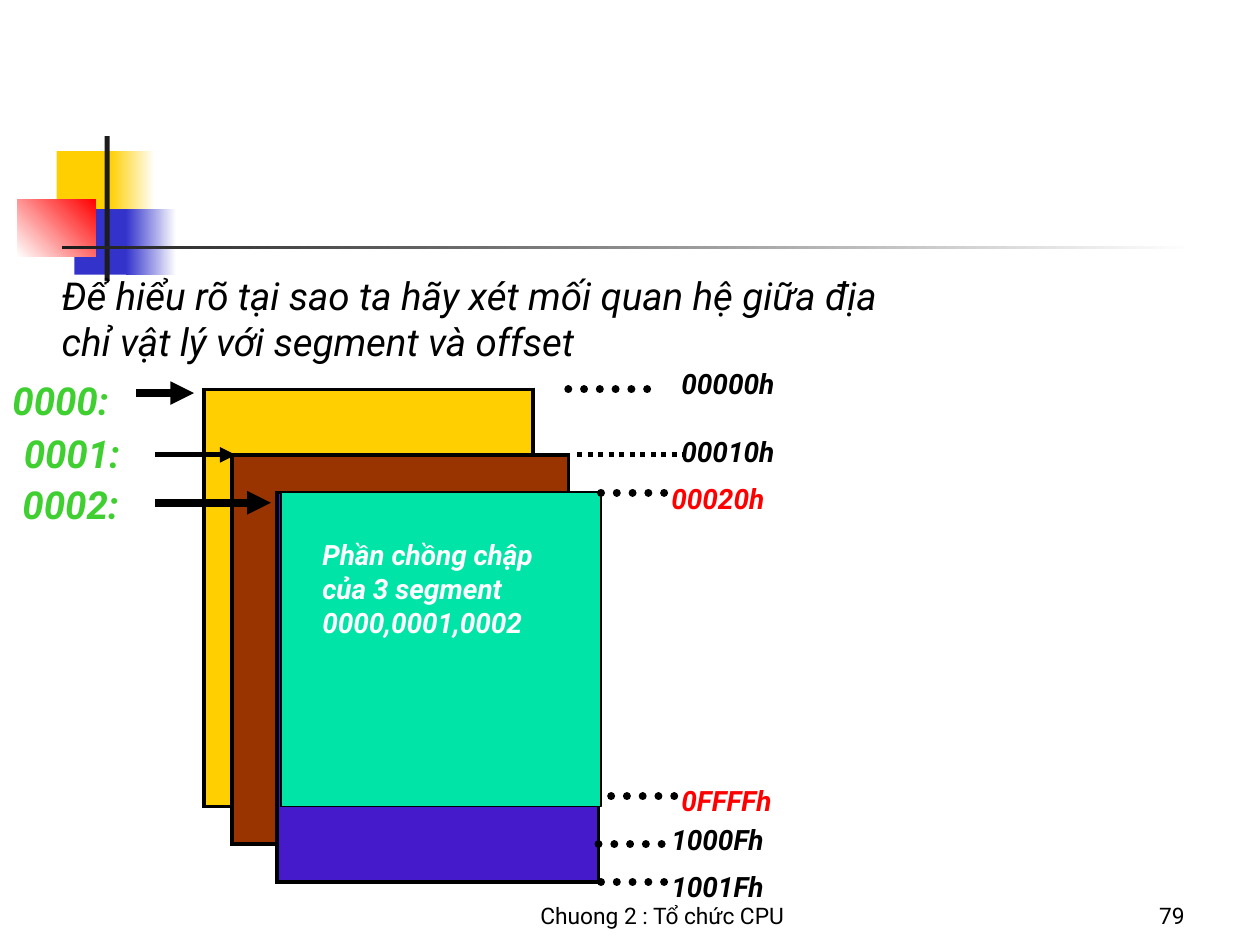
from pptx import Presentation
from pptx.dml.color import RGBColor
from pptx.enum.dml import MSO_LINE
from pptx.enum.shapes import MSO_CONNECTOR, MSO_SHAPE
from pptx.enum.text import MSO_ANCHOR, PP_ALIGN
from pptx.oxml import parse_xml
from pptx.oxml.ns import nsdecls, qn
from pptx.util import Inches, Pt
from lxml.etree import SubElement

FONT = "Roboto"
BLACK, WHITE, RED, GREEN = "000000", "FFFFFF", "FF0000", "40CF31"
GOLD, BLUE, DARK = "FFCF01", "3333CC", "1C1C1C"

# Left, top, width, height, colours (two make a gradient), angle
DECOR = [
    (0.45, 1.2, 0.48, 0.52, [GOLD], 0),
    (0.87, 1.2, 0.36, 0.52, [GOLD, WHITE], 0),
    (0.59, 1.66, 0.46, 0.52, [BLUE], 0),
    (1, 1.66, 0.4, 0.52, [BLUE, WHITE], 0),
    (0.14, 1.58, 0.62, 0.46, [WHITE, RED], 45),
    (0.83, 1.08, 0.04, 1.15, [DARK], 0),
    (0.49, 1.95, 8.99, 0.03, [DARK, WHITE], 0),
]
INTRO = "Để hiểu rõ tại sao ta hãy xét mối quan hệ giữa địa chỉ vật lý với segment và offset"
SHARED = "Phần chồng chập của 3 segment 0000,0001,0002"
# Left, top, width, height, colour
BLOCKS = [
    (1.62, 3.09, 2.61, 3.31, GOLD),
    (1.84, 3.61, 2.67, 3.09, "993300"),
    (2.2, 3.91, 2.55, 3.09, "441ACA"),
]
# Name, left, top, arrow start, arrow end, arrow height, arrow weight
STARTS = [
    ("0000:", 0, 2.94, 1.08, 1.54, 3.12, 4.5),
    ("0001:", 0.09, 3.36, 1.23, 1.87, 3.61, 3),
    ("0002:", 0.08, 3.77, 1.23, 2.15, 3.99, 4.5),
]
# Address, left, top, colour, dots start, dots end, dots height, dots weight
MARKS = [
    ("00000h", 5.31, 2.86, BLACK, 4.51, 5.2, 3.09, 4.5),
    ("00010h", 5.31, 3.4, BLACK, 4.58, 5.42, 3.61, 3),
    ("00020h", 5.23, 3.77, RED, 4.77, 5.31, 3.91, 4.5),
    ("0FFFFh", 5.31, 6.17, RED, 4.85, 5.39, 6.32, 4.5),
    ("1000Fh", 5.23, 6.48, BLACK, 4.75, 5.29, 6.7, 4.5),
    ("1001Fh", 5.23, 6.85, BLACK, 4.77, 5.31, 7, 4.5),
]


def rgb(code):
    """Turn a hex string into a colour."""
    return RGBColor.from_string(code)


def add_text(slide, text, box, size=16, color=BLACK, bold=False, italic=False,
             align=PP_ALIGN.LEFT, anchor=MSO_ANCHOR.TOP):
    """Add a wrapped text box in one format."""
    frame = slide.shapes.add_textbox(*map(Inches, box)).text_frame
    frame.word_wrap = True
    frame.vertical_anchor = anchor
    par = frame.paragraphs[0]
    par.alignment = align
    run = par.add_run()
    run.text = text
    font = run.font
    font.name, font.size, font.bold, font.italic = FONT, Pt(size), bold, italic
    font.color.rgb = rgb(color)


def add_rect(slide, box, colors, angle=0, edge=None):
    """Add a rectangle with a plain or a two-colour fill."""
    rect = slide.shapes.add_shape(MSO_SHAPE.RECTANGLE, *map(Inches, box))
    rect.shadow.inherit = False
    if len(colors) == 1:
        rect.fill.solid()
        rect.fill.fore_color.rgb = rgb(colors[0])
    else:
        rect.fill.gradient()
        rect.fill.gradient_angle = angle
        for stop, color in zip(rect.fill.gradient_stops, colors):
            stop.color.rgb = rgb(color)
    if edge:
        rect.line.color.rgb = rgb(BLACK)
        rect.line.width = Pt(edge)
    else:
        rect.line.fill.background()


def add_block(slide, box, color):
    """Add a one-cell table with a black border."""
    table = slide.shapes.add_table(1, 1, *map(Inches, box)).table
    cell = table.cell(0, 0)
    props = cell._tc.get_or_add_tcPr()
    for side in "LRTB":
        props.append(parse_xml(
            f'<a:ln{side} {nsdecls("a")} w="{Pt(2.25)}"><a:solidFill>'
            f'<a:srgbClr val="{BLACK}"/></a:solidFill></a:ln{side}>'))
    cell.fill.solid()
    cell.fill.fore_color.rgb = rgb(color)


def add_line(slide, start, end, top, weight, dots=False):
    """Add a level line, either dotted or with an arrowhead."""
    line = slide.shapes.add_connector(
        MSO_CONNECTOR.STRAIGHT, *map(Inches, (start, top, end, top)))
    line.line.color.rgb = rgb(BLACK)
    line.line.width = Pt(weight)
    SubElement(line._element.spPr, qn("a:effectLst"))
    stroke = line.line._get_or_add_ln()
    if dots:
        line.line.dash_style = MSO_LINE.ROUND_DOT
        if weight > 3:
            stroke.set("cap", "rnd")
    else:
        SubElement(stroke, qn("a:tailEnd"), type="triangle")


def build():
    """Build and save the slide."""
    deck = Presentation()
    deck.slide_width, deck.slide_height = Inches(10), Inches(7.5)
    slide = deck.slides.add_slide(deck.slide_layouts[6])
    for *box, colors, angle in DECOR:
        add_rect(slide, box, colors, angle)
    low = MSO_ANCHOR.BOTTOM
    add_text(slide, "Chuong 2 : Tổ chức CPU", (3.67, 6.92, 3.17, 0.5), size=13,
             align=PP_ALIGN.CENTER, anchor=low)
    add_text(slide, "79", (7.42, 6.92, 2.08, 0.5), size=13,
             align=PP_ALIGN.RIGHT, anchor=low)
    add_text(slide, INTRO, (0.39, 2.11, 7.08, 0.81), size=22, italic=True)
    for *box, color in BLOCKS:
        add_block(slide, box, color)
    add_rect(slide, (2.23, 3.91, 2.54, 2.49), ["00E4A8"], edge=0.75)
    add_text(slide, SHARED, (2.46, 4.22, 2.15, 1.18), color=WHITE,
             bold=True, italic=True)
    for name, left, top, *arrow in STARTS:
        add_text(slide, name, (left, top, 1.15, 0.45), size=22, color=GREEN,
                 bold=True, italic=True)
        add_line(slide, *arrow)
    for name, left, top, color, *dots in MARKS:
        add_text(slide, name, (left, top, 1.62, 0.36), color=color,
                 bold=True, italic=True)
        add_line(slide, *dots, dots=True)
    deck.save("out.pptx")


build()
